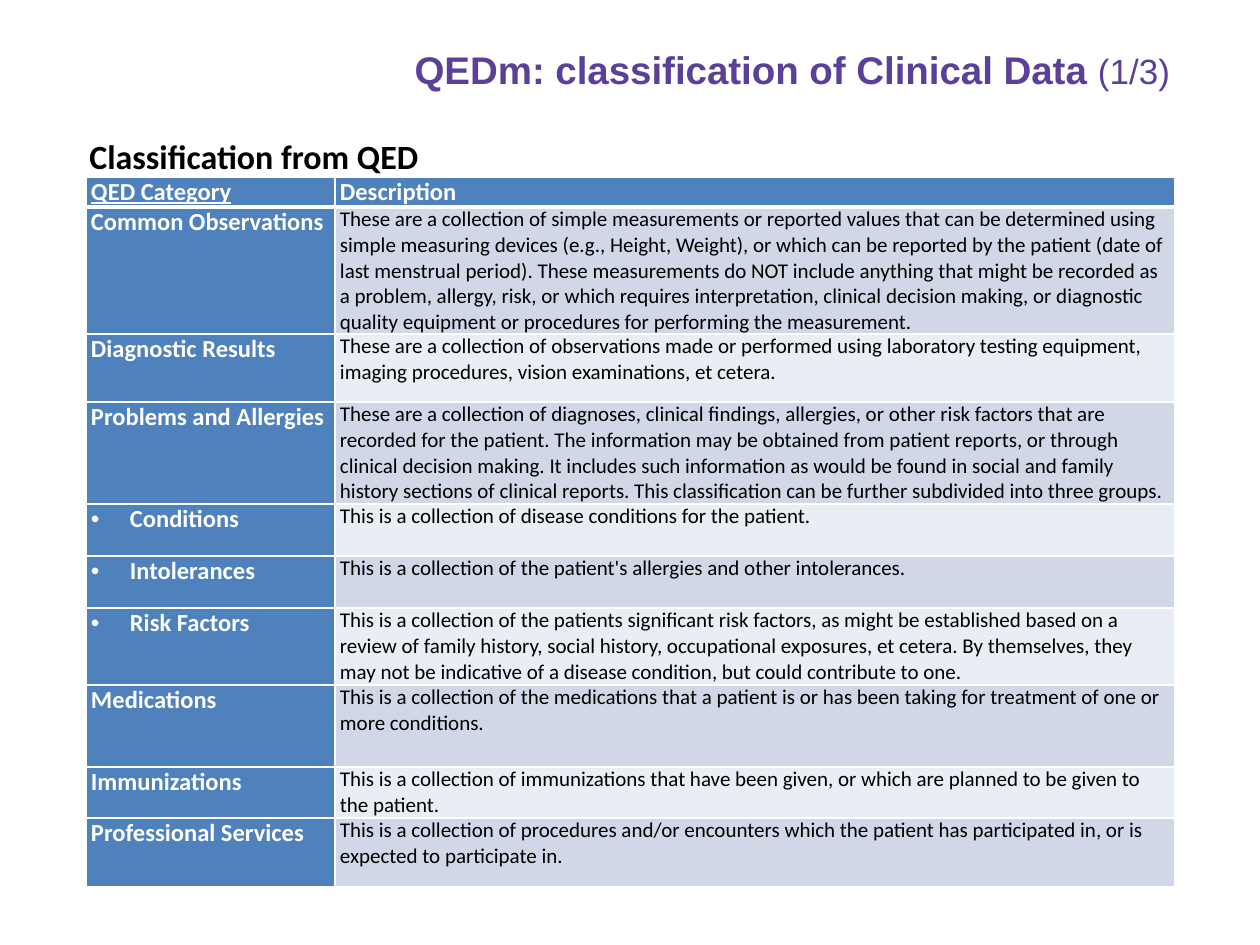
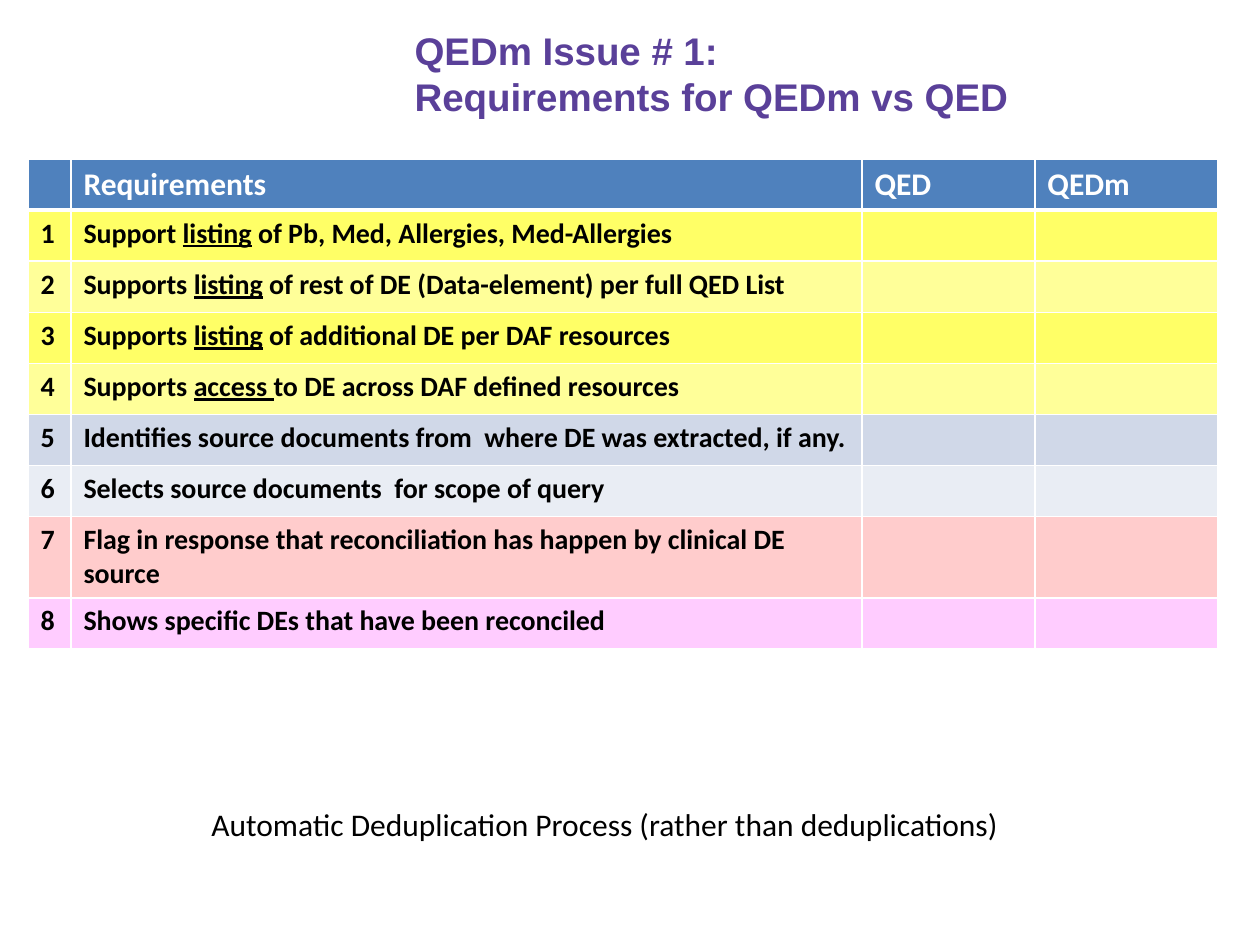
from lxml import etree
from pptx import Presentation
from pptx import util as u
from pptx.dml.color import RGBColor
from pptx.enum import text
from pptx.oxml import ns

PX_PER_INCH = 126
TITLE_FONT, BODY_FONT = "Arial", "Calibri"
COLORS = {
    "title": "5A4099", "ink": "000000", "white": "FFFFFF", "header": "4F81BD",
    "band_dark": "D0D8E8", "band_light": "E9EDF4",
    "yellow": "FFFF66", "pale_yellow": "FFFF99",
    "rose": "FFCCCC", "lilac": "FFCCFF",
}
BANDS = ("band_dark", "band_light")

# Category, is it a sub-group, row height, description
CATEGORIES = [
    ("Common Observations", False, 127,
     "These are a collection of simple measurements or reported values that can be "
     "determined using simple measuring devices (e.g., Height, Weight), or which can be "
     "reported by the patient (date of last menstrual period). These measurements do NOT "
     "include anything that might be recorded as a problem, allergy, risk, or which "
     "requires interpretation, clinical decision making, or diagnostic quality equipment "
     "or procedures for performing the measurement."),
    ("Diagnostic Results", False, 68,
     "These are a collection of observations made or performed using laboratory testing "
     "equipment, imaging procedures, vision examinations, et cetera."),
    ("Problems and Allergies", False, 102,
     "These are a collection of diagnoses, clinical findings, allergies, or other risk "
     "factors that are recorded for the patient. The information may be obtained from "
     "patient reports, or through clinical decision making. It includes such information "
     "as would be found in social and family history sections of clinical reports. This "
     "classification can be further subdivided into three groups."),
    ("Conditions", True, 52,
     "This is a collection of disease conditions for the patient."),
    ("Intolerances", True, 52,
     "This is a collection of the patient's allergies and other intolerances."),
    ("Risk Factors", True, 77,
     "This is a collection of the patients significant risk factors, as might be "
     "established based on a review of family history, social history, occupational "
     "exposures, et cetera. By themselves, they may not be indicative of a disease "
     "condition, but could contribute to one."),
    ("Medications", False, 82,
     "This is a collection of the medications that a patient is or has been taking for "
     "treatment of one or more conditions."),
    ("Immunizations", False, 51,
     "This is a collection of immunizations that have been given, or which are planned to "
     "be given to the patient."),
    ("Professional Services", False, 69,
     "This is a collection of procedures and/or encounters which the patient has "
     "participated in, or is expected to participate in."),
]

# Row colour, then the wording in pieces; every second piece is underlined
REQUIREMENTS = [
    ("yellow", "Support ", "listing", " of Pb, Med, Allergies, Med-Allergies"),
    ("pale_yellow", "Supports ", "listing",
     " of rest of DE (Data-element) per full QED List"),
    ("yellow", "Supports ", "listing", " of additional DE per DAF resources"),
    ("pale_yellow", "Supports ", "access ", "to DE across DAF defined resources"),
    ("band_dark", "Identifies source documents from  where DE was extracted, if any."),
    ("band_light", "Selects source documents  for scope of query"),
    ("rose", "Flag in response that reconciliation has happen by clinical DE source"),
    ("lilac", "Shows specific DEs that have been reconciled"),
]


def px(length):
    return u.Emu(round(length * 914400 / PX_PER_INCH))


def add_run(paragraph, words, size, color="ink", bold=False, underline=False,
            font=BODY_FONT):
    run = paragraph.add_run()
    run.text = words
    run.font.name, run.font.size = font, u.Pt(size)
    run.font.bold, run.font.underline = bold, underline
    run.font.color.rgb = RGBColor.from_string(COLORS[color])


def add_titled_slide(prs, top, height, lines, counter=None):
    slide = prs.slides.add_slide(prs.slide_layouts[5])
    title = slide.shapes.title
    title.left, title.top, title.width, title.height = map(px, (402, top, 835, height))
    frame = title.text_frame
    frame.word_wrap, frame.auto_size = True, text.MSO_AUTO_SIZE.NONE
    frame.vertical_anchor = text.MSO_ANCHOR.MIDDLE
    heading = frame.paragraphs[0]
    heading.alignment = text.PP_ALIGN.LEFT
    for i, line in enumerate(lines):
        if i:
            heading.add_line_break()
        add_run(heading, line, 22, "title", bold=True, font=TITLE_FONT)
    if counter:
        add_run(heading, counter, 20, "title", font=TITLE_FONT)
    return slide


def add_label(slide, box, words, size, bold=False, wrap=True):
    frame = slide.shapes.add_textbox(*map(px, box)).text_frame
    frame.word_wrap = wrap
    add_run(frame.paragraphs[0], words, size, bold=bold)


def add_grid(slide, left, top, widths, heights):
    grid = slide.shapes.add_table(len(heights), len(widths), px(left), px(top),
                                  px(sum(widths)), px(sum(heights))).table
    for column, width in zip(grid.columns, widths):
        column.width = px(width)
    for row, height in zip(grid.rows, heights):
        row.height = px(height)
    return grid


def set_border(cell, side, points):
    line = etree.SubElement(cell._tc.get_or_add_tcPr(), ns.qn(f"a:ln{side}"),
                            w=str(u.Pt(points)))
    fill = etree.SubElement(line, ns.qn("a:solidFill"))
    etree.SubElement(fill, ns.qn("a:srgbClr"), val=COLORS["white"])


def style_cell(cell, fill, header=False, tight=False):
    """Border and fill a cell, and return its paragraph."""
    for side in "LRTB":
        if side != "T" or header:
            set_border(cell, side, 3 if header and side == "B" else 1)
    cell.fill.solid()
    cell.fill.fore_color.rgb = RGBColor.from_string(COLORS[fill])
    if header:
        cell.vertical_anchor = text.MSO_ANCHOR.MIDDLE
    if tight:
        cell.margin_left = cell.margin_right = px(5)
        cell.margin_top = cell.margin_bottom = 0
    return cell.text_frame.paragraphs[0]


def add_bullet(paragraph, indent):
    properties = paragraph._p.get_or_add_pPr()
    properties.set("marL", str(px(indent)))
    properties.set("indent", str(-px(indent)))
    etree.SubElement(properties, ns.qn("a:buFont"), typeface=TITLE_FONT)
    etree.SubElement(properties, ns.qn("a:buChar"), char="•")


def build_classification(prs):
    slide = add_titled_slide(prs, 8, 122, ["QEDm: classification of Clinical Data "],
                             "(1/3)")
    add_label(slide, (77, 129, 1110, 50), "Classification from QED", 19.4, bold=True)

    heights = [30] + [height for _, _, height, _ in CATEGORIES]
    grid = add_grid(slide, 86, 177, (249, 840), heights)
    for col, heading in enumerate(("QED Category", "Description")):
        paragraph = style_cell(grid.cell(0, col), "header", header=True, tight=True)
        add_run(paragraph, heading, 14, "white", bold=True, underline=col == 0)

    for row, (category, is_subgroup, _, description) in enumerate(CATEGORIES, 1):
        paragraph = style_cell(grid.cell(row, 0), "header", tight=True)
        if is_subgroup:
            add_bullet(paragraph, 39)
        add_run(paragraph, category, 14, "white", bold=True)
        paragraph = style_cell(grid.cell(row, 1), BANDS[(row - 1) % 2], tight=True)
        add_run(paragraph, description, 12)


def build_requirements(prs):
    slide = add_titled_slide(prs, 23, 100,
                             ["QEDm Issue # 1: ", "Requirements for QEDm vs QED"])
    heights = [51] * (len(REQUIREMENTS) + 1)
    heights[7] = 81  # two lines of text
    grid = add_grid(slide, 28, 159, (43, 791, 173, 183), heights)
    for col, heading in enumerate(("", "Requirements", "QED", "QEDm")):
        paragraph = style_cell(grid.cell(0, col), "header", header=True)
        if heading:
            add_run(paragraph, heading, 18, "white", bold=True)

    for row, (fill, *pieces) in enumerate(REQUIREMENTS, 1):
        number, requirement, *_ = [style_cell(cell, fill) for cell in grid.rows[row].cells]
        add_run(number, str(row), 16, bold=True)
        for i, piece in enumerate(pieces):
            add_run(requirement, piece, 16, bold=True, underline=i % 2 == 1)

    add_label(slide, (199, 799, 815, 50),
              "Automatic Deduplication Process (rather than deduplications)", 18,
              wrap=False)


def main():
    prs = Presentation()
    prs.slide_width, prs.slide_height = px(1260), px(945)
    build_classification(prs)
    build_requirements(prs)
    prs.save("out.pptx")


if __name__ == "__main__":
    main()
